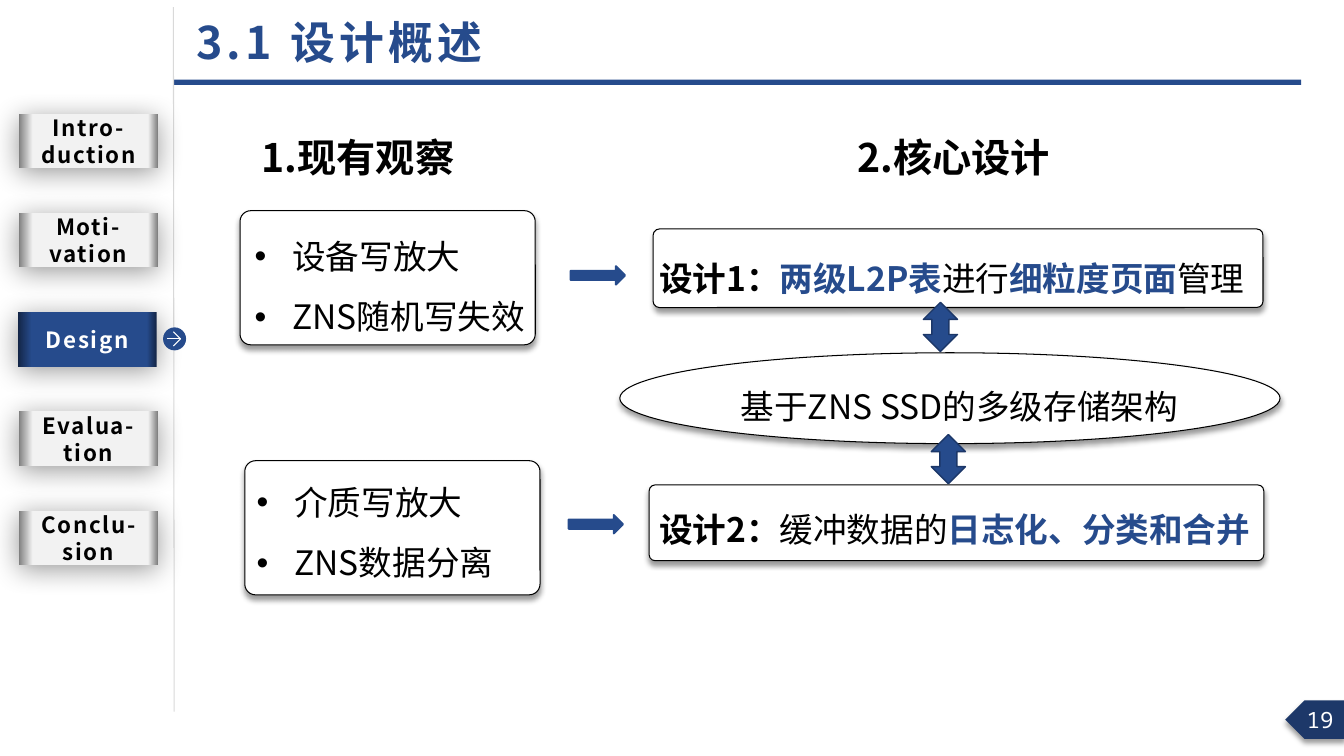
from dataclasses import dataclass

from lxml import etree
from pptx import Presentation
from pptx.dml.color import RGBColor
from pptx.enum.shapes import MSO_CONNECTOR, MSO_SHAPE
from pptx.enum.text import MSO_ANCHOR, MSO_AUTO_SIZE, PP_ALIGN
from pptx.oxml.ns import qn
from pptx.util import Cm, Pt

RECT, ROUND, OVAL = MSO_SHAPE.RECTANGLE, MSO_SHAPE.ROUNDED_RECTANGLE, MSO_SHAPE.OVAL
RIGHT, UPDOWN, PLATE = MSO_SHAPE.RIGHT_ARROW, MSO_SHAPE.UP_DOWN_ARROW, MSO_SHAPE.PENTAGON
LINE = MSO_CONNECTOR.STRAIGHT
MID, TOP = MSO_ANCHOR.MIDDLE, MSO_ANCHOR.TOP
CENTER, LEFT = PP_ALIGN.CENTER, PP_ALIGN.LEFT
GROW, FIXED = MSO_AUTO_SIZE.SHAPE_TO_FIT_TEXT, MSO_AUTO_SIZE.NONE


@dataclass(frozen=True)
class Theme:
    blue: str = "264B8C"
    deep: str = "132546"
    navy: str = "1D3869"
    edge: str = "1C3768"
    black: str = "000000"
    white: str = "FFFFFF"
    pale: str = "F2F2F2"
    gray: str = "808080"
    rule: str = "D9D9D9"
    title: int = 32
    head: int = 28
    body: int = 24
    small: int = 16
    font: str = "Noto Sans CJK SC"
    mono: str = "Noto Sans Mono"


def apply(item, form):
    for name, value in form.items():
        setattr(item, name, value)


def child(node, tag, **attrs):
    return etree.SubElement(node, qn(tag), attrs)


class Deck:
    def __init__(self, theme):
        self.theme = theme
        self.prs = Presentation()
        apply(self.prs, {"slide_width": Cm(33.87), "slide_height": Cm(19.05)})
        self.slide = self.prs.slides.add_slide(self.prs.slide_layouts[6])

    def shape(self, kind, box, fill, line=None, width=0.75, blur=0):
        item = self.slide.shapes.add_shape(kind, *map(Cm, box))
        if isinstance(fill, str):
            item.fill.solid()
            item.fill.fore_color.rgb = RGBColor.from_string(fill)
        else:
            self.blend(item, *fill)
        if line:
            item.line.color.rgb = RGBColor.from_string(line)
            item.line.width = Pt(width)
        else:
            item.line.fill.background()
        item.shadow.inherit = False
        if blur:
            self.shade(item, blur)
        return item

    def blend(self, item, side, core):
        item.fill.gradient()
        item.fill.gradient_angle = 180
        stops = item.element.spPr.find(".//" + qn("a:gsLst"))
        stops.clear()
        for pos, color in ((0, side), (7, core), (90, core), (100, side)):
            stop = child(stops, "a:gs", pos=str(pos * 1000))
            child(stop, "a:srgbClr", val=color)

    def shade(self, item, blur):
        effect = item.element.spPr.find(qn("a:effectLst"))
        outer = child(effect, "a:outerShdw", blurRad=str(Pt(blur)),
                      dist=str(Pt(3)), dir="5400000", rotWithShape="0")
        color = child(outer, "a:srgbClr", val=self.theme.black)
        child(color, "a:alpha", val="40000")

    def line(self, start, end, color):
        item = self.slide.shapes.add_connector(LINE, *map(Cm, start + end))
        item.line.color.rgb = RGBColor.from_string(color)
        item.line.width = Pt(0.75)
        child(item.element.spPr, "a:effectLst")

    def words(self, item, paras, size, gap=0, font=None, space=1.0,
              align=LEFT, bullet=False, **frame):
        """Each paragraph is a list of (text, colour, bold) runs."""
        text = item.text_frame
        apply(text, {"word_wrap": True, **frame})
        face = font or self.theme.font
        for num, runs in enumerate(paras):
            para = text.add_paragraph() if num else text.paragraphs[0]
            apply(para, {"alignment": align, "line_spacing": space})
            if bullet:
                props = para._p.get_or_add_pPr()
                props.set("marL", str(Cm(0.95)))
                props.set("indent", str(-Cm(0.95)))
                child(props, "a:buFont", typeface="Arial")
                child(props, "a:buChar", char="•")
            for part, color, bold in runs:
                run = para.add_run()
                run.text = part
                apply(run.font, {"size": Pt(size), "bold": bold, "name": face})
                run.font.color.rgb = RGBColor.from_string(color)
                props = run._r.get_or_add_rPr()
                child(props, "a:ea", typeface=face)
                if gap:
                    props.set("spc", str(round(gap * 100)))

    def text(self, box, paras, size, **form):
        item = self.slide.shapes.add_textbox(*map(Cm, box))
        self.words(item, paras, size, vertical_anchor=TOP, auto_size=GROW, **form)

    def label(self, item, paras, size, **form):
        self.words(item, paras, size, align=CENTER, vertical_anchor=MID,
                   auto_size=FIXED, **form)

    def card(self, box):
        item = self.shape(ROUND, box, self.theme.white, self.theme.black, blur=4)
        item.adjustments[0] = 0.08


def main():
    look = Theme()
    deck = Deck(look)
    blue, black, white = look.blue, look.black, look.white

    # Title rule and side line
    deck.shape(RECT, (4.37, 2.01, 28.42, 0.13), blue)
    deck.line((4.37, 0.18), (4.39, 17.93), look.rule)

    # Navigation
    names = (["Intro-", "duction"], ["Moti-vation"], ["Design"],
             ["Evalua-", "tion"], ["Conclu-", "sion"])
    for row, parts in enumerate(names):
        live = parts == ["Design"]
        fill = (look.deep, blue) if live else (look.gray, look.pale)
        left = 0.45 if live else 0.48
        tab = deck.shape(RECT, (left, 2.87 + 2.5 * row, 3.5, 1.37), fill, blur=20)
        color = white if live else black
        deck.label(tab, [[(part, color, True)] for part in parts], look.small, gap=1.2)

    # Marker beside the current section
    deck.shape(OVAL, (4.11, 8.25, 0.58, 0.58), blue)
    tip = (4.55, 8.54)
    for start in ((4.22, 8.54), (4.37, 8.72), (4.37, 8.36)):
        deck.line(start, tip, white)

    # Page number
    page = deck.shape(PLATE, (32.39, 17.65, 1.52, 0.97), look.navy, blur=4)
    page.element.spPr.find(qn("a:xfrm")).set("flipH", "1")
    deck.label(page, [[("19", white, False)]], look.small, font=look.mono)

    # Title and column heads
    deck.text((4.7, 0.25, 17.96, 1.63), [[("3.1 设计概述", blue, True)]],
              look.title, gap=3)
    for left, head in ((6.35, "1.现有观察"), (21.36, "2.核心设计")):
        deck.text((left, 2.64, 7.75, 1.83), [[(head, black, True)]],
                  look.head, space=1.5)

    # Observations
    notes = (
        ((6.05, 5.31), (6.17, 5.31, 7.98, 3.1), ("设备写放大", "ZNS随机写失效")),
        ((6.17, 11.61), (6.22, 11.51, 7.44, 3.1), ("介质写放大", "ZNS数据分离")),
    )
    for spot, box, items in notes:
        deck.card(spot + (7.44, 3.38))
        deck.text(box, [[(item, black, False)] for item in items],
                  look.body, space=1.5, bullet=True)

    # Designs
    plans = (
        ((16.46, 5.77, 15.37, 1.98), 5.87,
         [("设计1：", black, True), ("两级L2P表", blue, True), ("进行", black, False),
          ("细粒度页面", blue, True), ("管理", black, False)]),
        ((16.36, 12.22, 15.49, 1.91), 12.19,
         [("设计2：", black, True), ("缓冲数据的", black, False),
          ("日志化、分类和合并", blue, True)]),
    )
    for box, top, runs in plans:
        deck.card(box)
        deck.text((16.36, top, 16.87, 1.55), [runs], look.body, space=1.5)

    # Shared architecture
    deck.shape(OVAL, (15.62, 8.89, 16.64, 2.29), white, black, blur=4)
    deck.text((18.42, 9.09, 16.21, 1.55),
              [[("基于ZNS SSD的多级存储架构", black, False)]], look.body, space=1.5)

    # Arrows
    for spot in ((14.38, 6.71), (14.33, 12.98)):
        deck.shape(RIGHT, spot + (1.37, 0.46), blue, blue, 1.5)
    for spot in ((23.27, 7.62), (23.47, 10.95)):
        deck.shape(UPDOWN, spot + (0.86, 1.24), blue, look.edge, 1)

    deck.prs.save("out.pptx")


if __name__ == "__main__":
    main()
